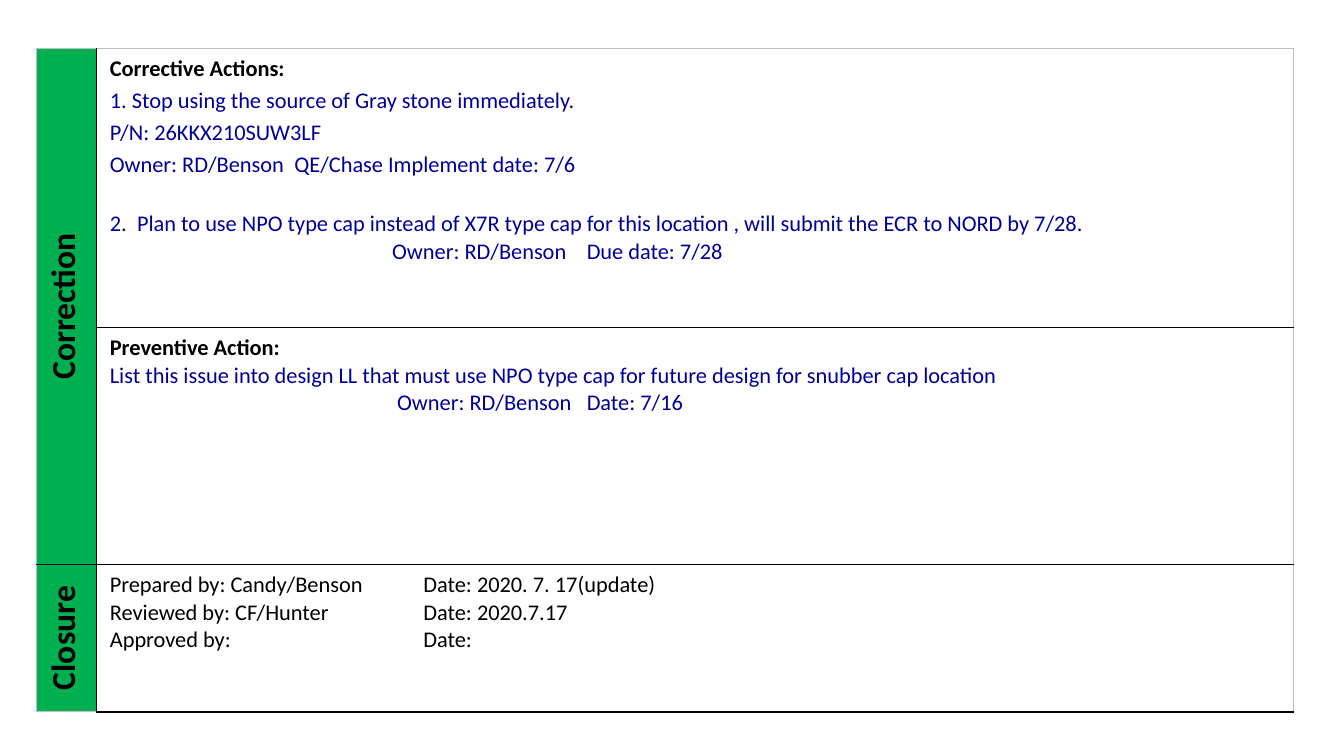
import pptx
import pptx.util
import pptx.dml.color
import pptx.enum.text
import pptx.oxml.ns
import lxml.etree

Inches = pptx.util.Inches
Pt = pptx.util.Pt
RGBColor = pptx.dml.color.RGBColor
PP_ALIGN = pptx.enum.text.PP_ALIGN
MSO_ANCHOR = pptx.enum.text.MSO_ANCHOR

BLACK = RGBColor(0x00, 0x00, 0x00)
NAVY = RGBColor(0x00, 0x00, 0x99)
GREEN = RGBColor(0x00, 0xB0, 0x50)
WHITE = RGBColor(0xFF, 0xFF, 0xFF)
GRAY = RGBColor(0xBF, 0xBF, 0xBF)

COLUMN_WIDTHS = [0.6, 11.87]
ROW_HEIGHTS = [2.77, 2.35, 1.46]
ITEM_GAP = 3.2
SECTION_GAP = 23

CORRECTIVE = [
    ("Corrective Actions:", dict(bold=True)),
    ("1. Stop using the source of Gray stone immediately.", dict(color=NAVY, before=ITEM_GAP)),
    ("P/N: 26KKX210SUW3LF", dict(color=NAVY, before=ITEM_GAP)),
    ("Owner: RD/Benson\tQE/Chase Implement date: 7/6", dict(color=NAVY, before=ITEM_GAP, tabs=[1.83])),
    ("2.\tPlan to use NPO type cap instead of X7R type cap for this location , "
     "will submit the ECR to NORD by 7/28.", dict(color=NAVY, before=SECTION_GAP, tabs=[0.27])),
    ("\tOwner: RD/Benson\tDue date: 7/28", dict(color=NAVY, tabs=[2.8, 4.73])),
]
PREVENTIVE = [
    ("Preventive Action:", dict(bold=True)),
    ("List this issue into design LL that must use NPO type cap for future design "
     "for snubber cap location", dict(color=NAVY)),
    ("\tOwner: RD/Benson\tDate: 7/16", dict(color=NAVY, tabs=[2.85, 4.73])),
]
SIGNATURES = [
    ("Prepared by: Candy/Benson\tDate: 2020. 7. 17(update)", dict(tabs=[3.11])),
    ("Reviewed by: CF/Hunter\tDate: 2020.7.17", dict(tabs=[3.11])),
    ("Approved by:\tDate:", dict(tabs=[3.11])),
]


def add_element(parent, name, **attributes):
    return lxml.etree.SubElement(parent, pptx.oxml.ns.qn(name), attributes)


def write_text(para, text, size=16, bold=False, color=BLACK, before=0, align=PP_ALIGN.LEFT, tabs=()):
    para.alignment = align
    para.space_before = Pt(before)
    if tabs:
        tab_list = add_element(para._p.get_or_add_pPr(), "a:tabLst")
        for position in tabs:
            add_element(tab_list, "a:tab", pos=str(Inches(position)), algn="l")
    span = para.add_run()
    span.text = text
    span.font.name = "Calibri"
    span.font.size = Pt(size)
    span.font.bold = bold
    span.font.color.rgb = color


def format_cell(cell, fill, **borders):
    cell.margin_left = cell.margin_right = Inches(0.13)
    cell.margin_top = cell.margin_bottom = Inches(0.07)
    properties = cell._tc.get_or_add_tcPr()
    for side in ("L", "R", "T", "B"):
        color, width = borders[side]
        line = add_element(properties, "a:ln" + side, w=str(Pt(width)))
        add_element(add_element(line, "a:solidFill"), "a:srgbClr", val=str(color))
    cell.fill.solid()
    cell.fill.fore_color.rgb = fill


def fill_label(cell, text):
    cell.vertical_anchor = MSO_ANCHOR.MIDDLE
    cell._tc.get_or_add_tcPr().set("vert", "vert270")
    write_text(cell.text_frame.paragraphs[0], text, size=24, bold=True, align=PP_ALIGN.CENTER)


def fill_body(cell, lines):
    frame = cell.text_frame
    for index, (text, style) in enumerate(lines):
        para = frame.add_paragraph() if index else frame.paragraphs[0]
        write_text(para, text, **style)


def add_report_table(page):
    shape = page.shapes.add_table(
        len(ROW_HEIGHTS), len(COLUMN_WIDTHS), Inches(0.36), Inches(0.48),
        Inches(sum(COLUMN_WIDTHS)), Inches(sum(ROW_HEIGHTS)))
    table = shape.table
    table.first_row = table.horz_banding = False
    for column, width in zip(table.columns, COLUMN_WIDTHS):
        column.width = Inches(width)
    for row, height in zip(table.rows, ROW_HEIGHTS):
        row.height = Inches(height)

    inner, outer = (BLACK, 1), (GRAY, 1)
    last = len(ROW_HEIGHTS) - 1
    for index in range(len(ROW_HEIGHTS)):
        top = inner if index else outer
        format_cell(table.cell(index, 0), GREEN, L=outer, R=inner, T=top,
                    B=inner if index < last else outer)
        format_cell(table.cell(index, 1), WHITE, L=inner, R=outer, T=top,
                    B=inner if index < last else (BLACK, 1.5))
    table.cell(0, 0).merge(table.cell(1, 0))
    return table


def main():
    deck = pptx.Presentation()
    deck.slide_width = Inches(13.33)
    deck.slide_height = Inches(7.5)
    page = deck.slides.add_slide(deck.slide_layouts[6])
    table = add_report_table(page)
    fill_label(table.cell(0, 0), "Correction")
    fill_label(table.cell(2, 0), "Closure")
    for index, lines in enumerate([CORRECTIVE, PREVENTIVE, SIGNATURES]):
        fill_body(table.cell(index, 1), lines)
    deck.save("out.pptx")


if __name__ == "__main__":
    main()
